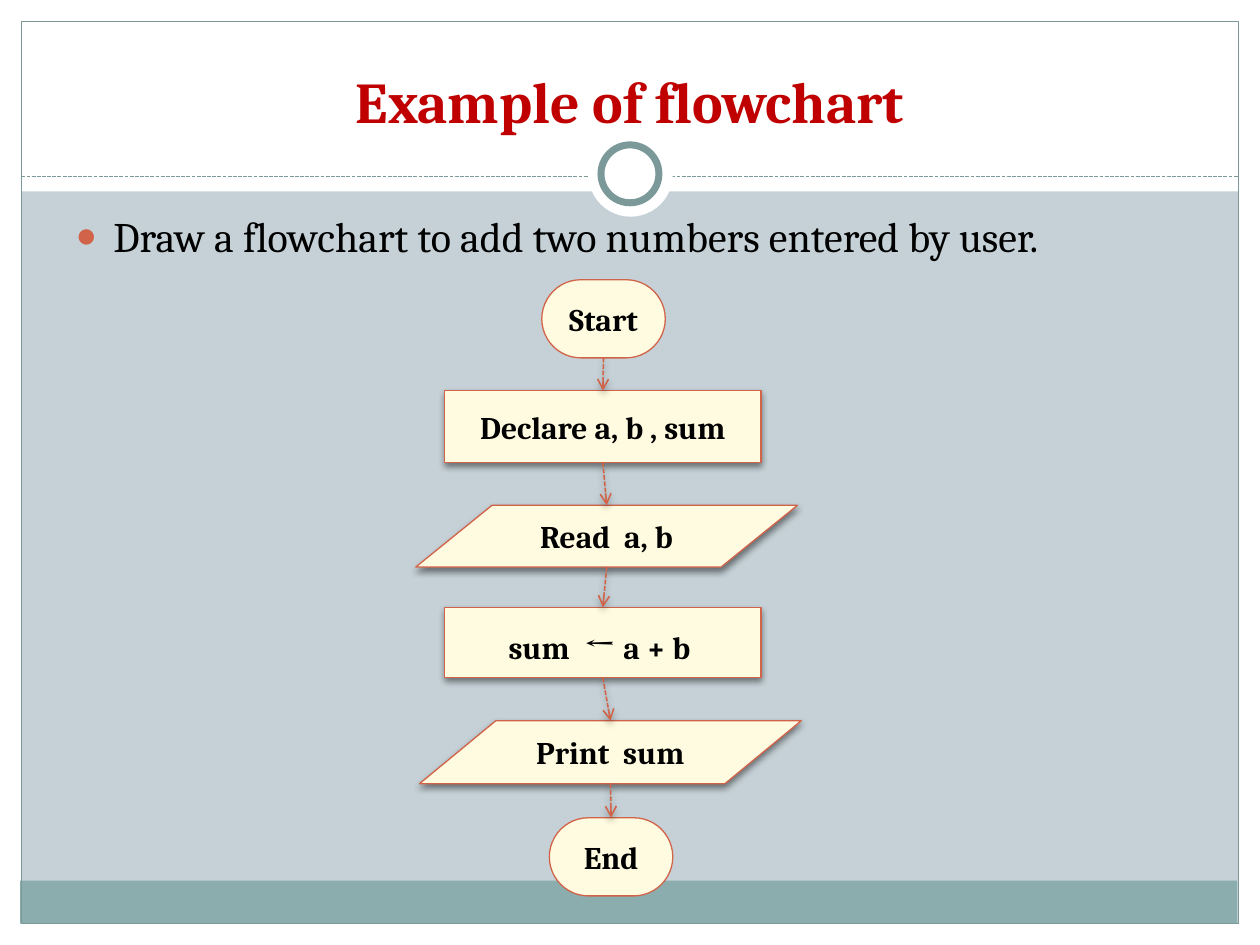
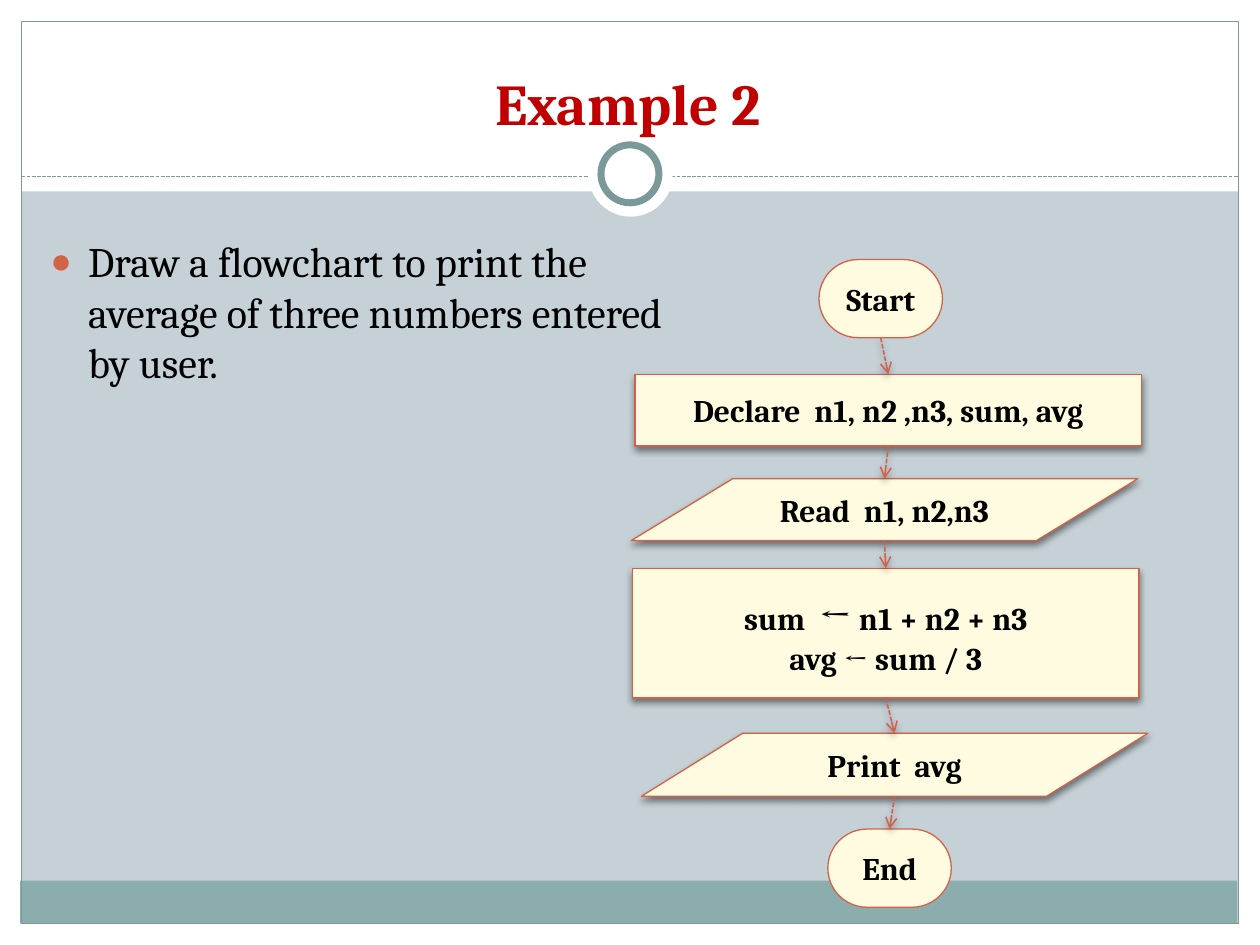
from lxml import etree
from pptx import Presentation
from pptx.dml.color import RGBColor
from pptx.enum import dml, shapes, text
from pptx.oxml import ns
from pptx.util import Inches, Pt

WHITE = RGBColor(0xFF, 0xFF, 0xFF)
BLACK = RGBColor(0, 0, 0)
MIST = RGBColor(0xC5, 0xD1, 0xD7)
TEAL = RGBColor(0x8C, 0xAD, 0xAE)
SLATE = RGBColor(0x7C, 0x99, 0x9A)
RED = RGBColor(0xC0, 0, 0)
RUST = RGBColor(0xD1, 0x63, 0x49)
CREAM = RGBColor(0xFF, 0xFB, 0xE0)
FONT = "Cambria"
KIND = shapes.MSO_SHAPE
ROUND, STEP, DATA = KIND.ROUNDED_RECTANGLE, KIND.FLOWCHART_PROCESS, KIND.FLOWCHART_DATA
ALIGN = text.PP_ALIGN


def node(parent, tag, **attrs):
    return etree.SubElement(parent, ns.qn(tag), {k: str(v) for k, v in attrs.items()})


class Deck:
    """Flowchart slides in one shared style."""

    def __init__(self):
        self.prs = Presentation()
        self.prs.slide_width, self.prs.slide_height = Inches(10), Inches(7.5)
        self.layout = self.prs.slide_layouts[1]
        fill = self.layout.background.fill
        fill.solid()
        fill.fore_color.rgb = MIST
        self.slide = None

    def start(self):
        first = self.slide is None
        self.slide = self.prs.slides.add_slide(self.layout)
        if first:
            self.frame()

    def frame(self):
        bands = [(0, 7.33, 10, 0.17, WHITE), (0, 0, 10, 1.52, WHITE),
                 (0, 0, 0.17, 7.5, WHITE), (9.83, 0, 0.17, 7.5, WHITE),
                 (0.16, 6.99, 9.66, 0.34, TEAL)]
        parts = [self.shape(KIND.RECTANGLE, band[:4], band[4]) for band in bands]
        parts += [
            self.shape(KIND.RECTANGLE, (0.17, 0.17, 9.66, 7.16), None, SLATE),
            self.line((0.17, 1.4), (9.83, 1.4), SLATE, 0.75),
            self.shape(KIND.OVAL, (4.67, 1.05, 0.67, 0.67), WHITE),
            self.shape(KIND.OVAL, (4.77, 1.15, 0.46, 0.46), WHITE, SLATE, 4),
        ]
        for num, part in enumerate(parts, 20):
            part.element.xpath(".//p:cNvPr")[0].set("id", str(num))
            self.layout.shapes.element.append(part.element)

    def shape(self, kind, box, fill, edge=None, width=0.75):
        item = self.slide.shapes.add_shape(kind, *map(Inches, box))
        item.shadow.inherit = False
        if fill is None:
            item.fill.background()
        else:
            item.fill.solid()
            item.fill.fore_color.rgb = fill
        if edge is None:
            item.line.fill.background()
        else:
            item.line.color.rgb = edge
            item.line.width = Pt(width)
        return item

    def line(self, start, end, color, width):
        item = self.slide.shapes.add_connector(
            shapes.MSO_CONNECTOR.STRAIGHT, *map(Inches, (*start, *end)))
        item.line.color.rgb = color
        item.line.width = Pt(width)
        item.line.dash_style = dml.MSO_LINE.SQUARE_DOT
        node(item.element.spPr, "a:effectLst")
        return item

    def shade(self, item, alpha):
        effects = item.element.spPr.find(ns.qn("a:effectLst"))
        outer = node(effects, "a:outerShdw", blurRad=Pt(4), dist=Pt(2),
                     dir=5400000, rotWithShape=0)
        node(node(outer, "a:srgbClr", val=BLACK), "a:alpha", val=alpha * 1000)

    def style(self, para, size, color=BLACK, bold=False, align=ALIGN.CENTER):
        para.alignment = align
        font = para.font
        font.name, font.size, font.bold = FONT, Pt(size), bold
        font.color.rgb = color

    def place(self, holder, box, words):
        holder.left, holder.top, holder.width, holder.height = map(Inches, box)
        frame = holder.text_frame
        frame.text = words
        frame.auto_size = text.MSO_AUTO_SIZE.NONE
        return frame

    def title(self, box, words):
        frame = self.place(self.slide.shapes.title, box, words)
        frame.vertical_anchor = text.MSO_ANCHOR.BOTTOM
        self.style(frame.paragraphs[0], 33, RED, True)

    def body(self, box, words, align):
        para = self.place(self.slide.placeholders[1], box, words).paragraphs[0]
        props = para._p.get_or_add_pPr()
        props.set("marL", str(Inches(0.3)))
        props.set("indent", str(Inches(-0.3)))
        node(node(props, "a:buClr"), "a:srgbClr", val=RUST)
        node(props, "a:buSzPct", val=85000)
        node(props, "a:buChar", char="●")
        self.style(para, 24, align=align)

    def block(self, kind, box, *rows):
        item = self.shape(kind, box, CREAM, RUST)
        if kind == ROUND:
            item.adjustments[0] = 0.5
        else:
            self.shade(item, 45)
        frame = item.text_frame
        frame.vertical_anchor = text.MSO_ANCHOR.MIDDLE
        for num, row in enumerate(rows):
            para = frame.add_paragraph() if num else frame.paragraphs[0]
            self.style(para, 18, bold=True)
            for spot, part in enumerate(row.split("|")):
                run = para.add_run()
                run.text = part
                if spot % 2:
                    run.font.size = Pt(24)
        return item

    def arrow(self, upper, lower):
        start = (upper.left + upper.width / 2, upper.top + upper.height)
        end = (lower.left + lower.width / 2, lower.top)
        item = self.line([v / Inches(1) for v in start],
                         [v / Inches(1) for v in end], RUST, 0.9)
        node(item.get_or_add_ln(), "a:tailEnd", type="arrow")
        self.shade(item, 35)
        if upper.auto_shape_type != DATA:
            item.begin_connect(upper, 2)
        if lower.auto_shape_type != DATA:
            item.end_connect(lower, 0)

    def flow(self, *steps):
        blocks = [self.block(*step) for step in steps]
        for upper, lower in zip(blocks, blocks[1:]):
            self.arrow(upper, lower)


def main():
    deck = Deck()

    deck.start()
    deck.title((0.5, 0.37, 9, 0.75), "Example of flowchart")
    deck.body((0.5, 1.62, 9, 0.6),
              "Draw a flowchart to add two numbers entered by user.", ALIGN.JUSTIFY)
    deck.flow(
        (ROUND, (4.3, 2.22, 0.98, 0.62), "Start"),
        (STEP, (3.53, 3.1, 2.51, 0.57), "Declare a, b , sum"),
        (DATA, (3.3, 4.01, 3.03, 0.49), "Read  a, b"),
        (STEP, (3.53, 4.82, 2.51, 0.56), "sum  |←| a + b "),
        (DATA, (3.33, 5.72, 3.03, 0.5), "Print  sum"),
        (ROUND, (4.36, 6.49, 0.98, 0.62), "End"))

    deck.start()
    deck.title((0.29, 0.36, 9.39, 0.78), "Example 2")
    deck.body((0.3, 1.82, 5.23, 1.22),
              "Draw a flowchart to print the average of three numbers entered by user.",
              ALIGN.LEFT)
    deck.flow(
        (ROUND, (6.5, 2.06, 0.98, 0.62), "Start"),
        (STEP, (5.04, 2.97, 4.02, 0.57), "Declare  n1, n2 ,n3, sum, avg"),
        (DATA, (5.01, 3.8, 4.02, 0.49), "Read  n1, n2,n3"),
        (STEP, (5.02, 4.51, 4.02, 1.03), "sum  |←| n1 + n2 + n3", "avg ← sum / 3"),
        (DATA, (5.09, 5.82, 4.02, 0.5), "Print  avg"),
        (ROUND, (6.57, 6.58, 0.98, 0.62), "End"))

    deck.prs.save("out.pptx")


if __name__ == "__main__":
    main()
